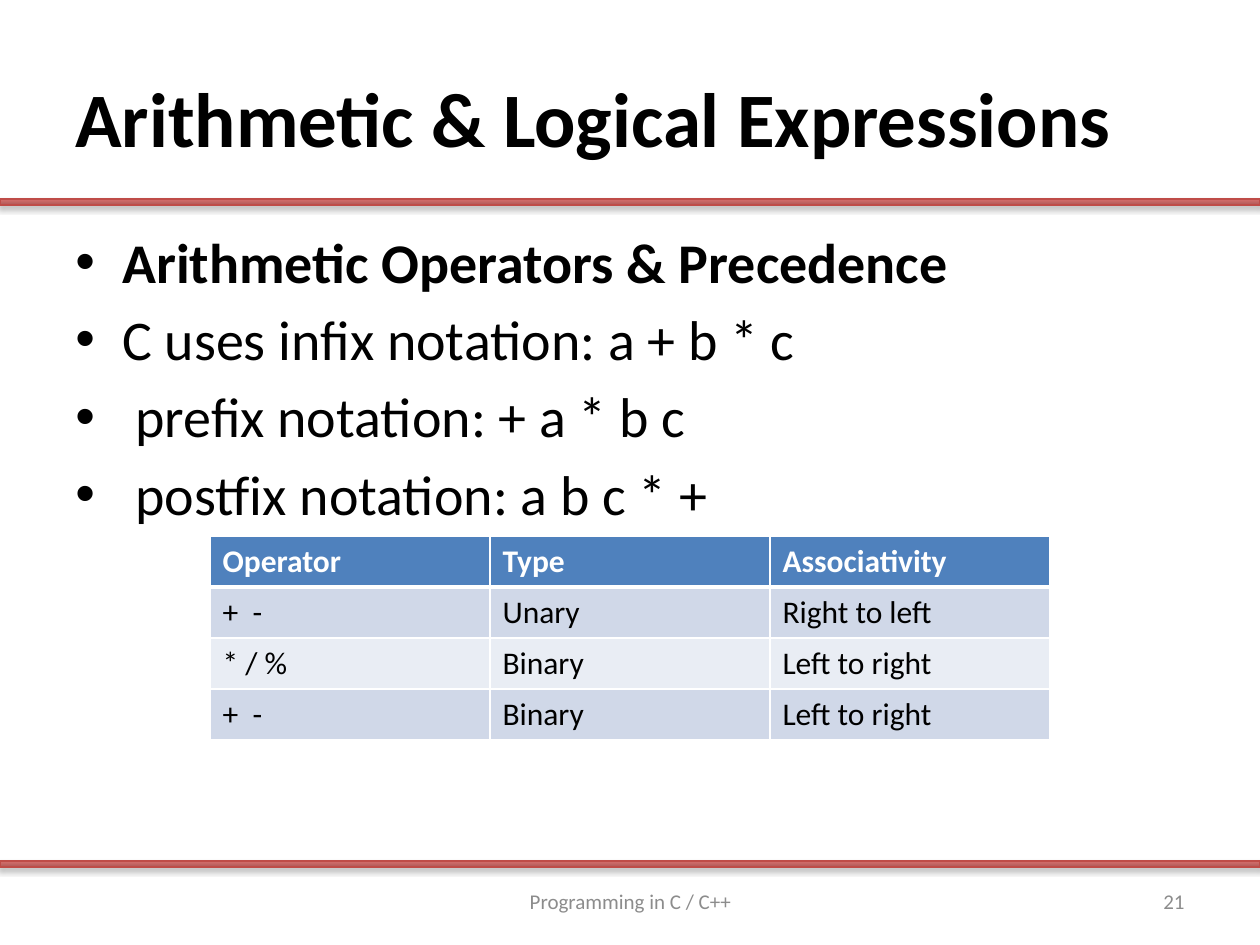
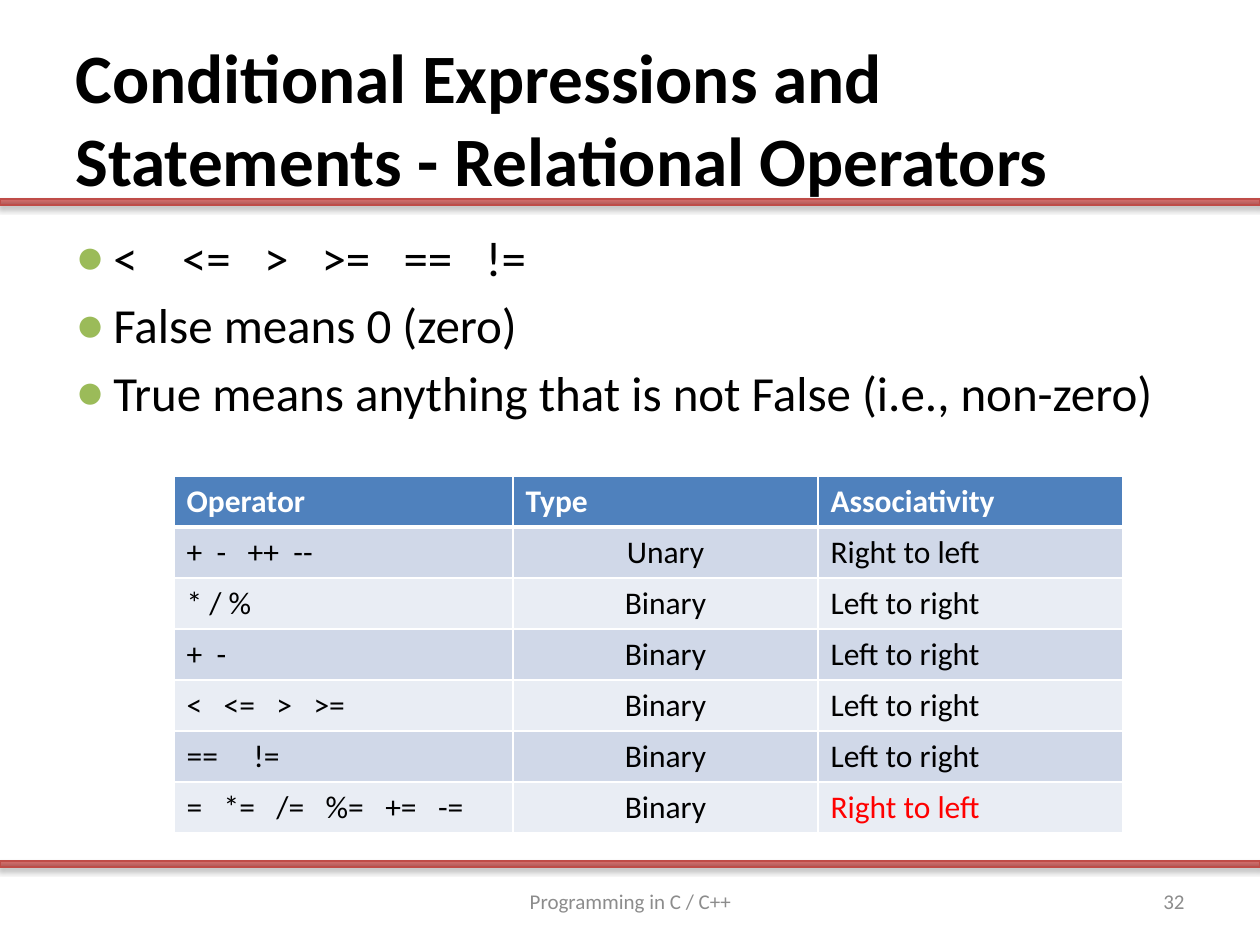
from itertools import zip_longest

from pptx import Presentation
from pptx.dml.color import RGBColor
from pptx.enum.shapes import MSO_SHAPE
from pptx.enum.text import MSO_ANCHOR, PP_ALIGN
from pptx.oxml import parse_xml
from pptx.oxml.ns import nsdecls, qn
from pptx.util import Pt

PX = 914400 / 126
FONT = "Calibri"
BLACK, WHITE, GREY, RED, GREEN = "000000", "FFFFFF", "8C8C8C", "FF0000", "9BBB59"
HEADER_FILL, ROW_FILLS = "4F81BD", ("D0D8E8", "E9EDF4")
BAND_LINE = "BF4C48"
BAND_STOPS = ((0, "9C2F2D"), (80, "CB3E3A"), (100, "CE3B37"))
SPACE_WIDTH = 0.226
GAPS = {
    "+ -": (2,),
    "+ - ++ --": (2, 3, 2),
    "< <= > >=": (3, 3, 3),
    "== !=": (5,),
    "= *= /= %= += -=": (3, 3, 3, 3, 3),
    "< <= > >= == !=": (4, 3, 3, 3, 3),
}
TITLE_BOX = (63, 38, 1134, 158)
BODY_BOX = (63, 221, 1134, 624)
FOOTER_BOX = (431, 876, 399, 50)
NUMBER_BOX = (903, 876, 294, 50)
BAND_BOXES = ((0, 861, 1260, 6), (0, 199, 1260, 6))


def emu(length):
    """Turn px into EMU."""
    return round(length * PX)


def color(value):
    """Turn a hex string into a colour."""
    return RGBColor.from_string(value)


def a_xml(tag, inner="", **attributes):
    """Build one DrawingML element."""
    listed = " ".join(f'{name}="{value}"' for name, value in attributes.items())
    return parse_xml(f'<a:{tag} {nsdecls("a")} {listed}>{inner}</a:{tag}>')


def add_span(para, text, size, ink, bold, tracking=0):
    """Add one run, with extra letter spacing in points if given."""
    span = para.add_run()
    span.text = text
    font = span.font
    font.name, font.size, font.bold = FONT, Pt(size), bold
    font.color.rgb = color(ink)
    if tracking:
        span._r.get_or_add_rPr().set("spc", str(round(tracking * 100)))


def write(para, text, size=18, ink=BLACK, bold=False, align=PP_ALIGN.LEFT):
    """Write text in a paragraph, widening the gaps between operators."""
    para.alignment = align
    gaps = GAPS.get(text)
    if not gaps:
        add_span(para, text, size, ink, bold)
        return
    for word, gap in zip_longest(text.split(" "), gaps):
        add_span(para, word, size, ink, bold)
        if gap:
            add_span(para, " ", size, ink, bold, (gap - 1) * SPACE_WIDTH * size)


def add_frame(page, box, anchor=MSO_ANCHOR.MIDDLE):
    """Add a wrapping text box and return its frame."""
    frame = page.shapes.add_textbox(*map(emu, box)).text_frame
    frame.word_wrap = True
    frame.vertical_anchor = anchor
    return frame


def add_band(page, box):
    """Add a red gradient band with a soft shadow."""
    band = page.shapes.add_shape(MSO_SHAPE.RECTANGLE, *map(emu, box))
    band.fill.background()
    band.line.color.rgb = color(BAND_LINE)
    band.line.width = Pt(0.75)
    band.shadow.inherit = False
    stops = "".join(
        f'<a:gs pos="{place * 1000}"><a:srgbClr val="{tint}">'
        f'<a:alpha val="73000"/></a:srgbClr></a:gs>'
        for place, tint in BAND_STOPS
    )
    gradient = a_xml("gradFill", f'<a:gsLst>{stops}</a:gsLst><a:lin ang="16200000" scaled="0"/>')
    properties = band._element.spPr
    properties.replace(properties.find(qn("a:noFill")), gradient)
    shade = f'<a:srgbClr val="{BLACK}"><a:alpha val="35000"/></a:srgbClr>'
    properties.find(qn("a:effectLst")).append(
        a_xml("outerShdw", shade, blurRad=Pt(3.1), dist=Pt(1.8), dir=5400000, rotWithShape=0)
    )


def add_bullets(page, box, lines, size, hang, mark, mark_ink=BLACK):
    """Add a bulleted list of (text, extra indent, bold) lines."""
    frame = add_frame(page, box, MSO_ANCHOR.TOP)
    for index, (text, extra, bold) in enumerate(lines):
        para = frame.add_paragraph() if index else frame.paragraphs[0]
        write(para, text, size=size, bold=bold)
        para.space_before = Pt(round(size * 0.18, 1))
        properties = para._p.get_or_add_pPr()
        properties.set("marL", str(emu(hang + extra)))
        properties.set("indent", str(-emu(hang + extra)))
        properties.append(a_xml("buClr", f'<a:srgbClr val="{mark_ink}"/>'))
        properties.append(a_xml("buFont", typeface="Arial"))
        properties.append(a_xml("buChar", char=mark))


def set_borders(cell, top, bottom):
    """Draw white cell borders with the given top and bottom widths."""
    properties = cell._tc.get_or_add_tcPr()
    fill = f'<a:solidFill><a:srgbClr val="{WHITE}"/></a:solidFill>'
    widths = (("lnL", 1), ("lnR", 1), ("lnT", top), ("lnB", bottom))
    for index, (side, width) in enumerate(widths):
        properties.insert(index, a_xml(side, fill, w=Pt(width)))


def add_operator_table(page, left, top, widths, rows, type_align=PP_ALIGN.LEFT, red_cell=None):
    """Add a table of operators below its header row."""
    row_height = 51
    rows = [("Operator", "Type", "Associativity"), *rows]
    size = (sum(widths), row_height * len(rows))
    table = page.shapes.add_table(
        len(rows), len(widths), *map(emu, (left, top, *size))
    ).table
    for column, width in zip(table.columns, widths):
        column.width = emu(width)
    for r, texts in enumerate(rows):
        table.rows[r].height = emu(row_height)
        for c, text in enumerate(texts):
            cell = table.cell(r, c)
            para = cell.text_frame.paragraphs[0]
            cell.fill.solid()
            if r == 0:
                cell.fill.fore_color.rgb = color(HEADER_FILL)
                write(para, text, ink=WHITE, bold=True)
            else:
                cell.fill.fore_color.rgb = color(ROW_FILLS[(r - 1) % 2])
                write(
                    para,
                    text,
                    ink=RED if (r, c) == red_cell else BLACK,
                    align=type_align if c == 1 else PP_ALIGN.LEFT,
                )
            set_borders(cell, top=3 if r == 1 else 1, bottom=3 if r == 0 else 1)


def add_page(deck, title, title_size, number):
    """Add a page with its bands, title and footer."""
    page = deck.slides.add_slide(deck.slide_layouts[6])
    for box in BAND_BOXES:
        add_band(page, box)
    write(add_frame(page, TITLE_BOX).paragraphs[0], title, size=title_size, bold=True)
    footers = (
        (FOOTER_BOX, "Programming in C / C++", PP_ALIGN.CENTER),
        (NUMBER_BOX, str(number), PP_ALIGN.RIGHT),
    )
    for box, text, align in footers:
        write(add_frame(page, box).paragraphs[0], text, size=12, ink=GREY, align=align)
    return page


def arithmetic_page(deck):
    """Build the page on arithmetic operators."""
    page = add_page(deck, "Arithmetic & Logical Expressions", 44, 21)
    lines = (
        ("Arithmetic Operators & Precedence", 0, True),
        ("C uses infix notation: a + b * c", 0, False),
        ("prefix notation: + a * b c", 13, False),
        ("postfix notation: a b c * +", 13, False),
    )
    add_bullets(page, BODY_BOX, lines, size=32, hang=47, mark="•")
    rows = (
        ("+ -", "Unary", "Right to left"),
        ("* / %", "Binary", "Left to right"),
        ("+ -", "Binary", "Left to right"),
    )
    add_operator_table(page, 210, 536, (280, 280, 280), rows)


def relational_page(deck):
    """Build the page on relational operators."""
    title = "Conditional Expressions and Statements - Relational Operators"
    page = add_page(deck, title, 39.6, 32)
    lines = (
        ("< <= > >= == !=", 0, False),
        ("False means 0 (zero)", 0, False),
        ("True means anything that is not False (i.e., non-zero)", 0, False),
    )
    add_bullets(page, BODY_BOX, lines, size=28, hang=38, mark="●", mark_ink=GREEN)
    left_to_right = ("* / %", "+ -", "< <= > >=", "== !=")
    rows = (
        ("+ - ++ --", "Unary", "Right to left"),
        *((operators, "Binary", "Left to right") for operators in left_to_right),
        ("= *= /= %= += -=", "Binary", "Right to left"),
    )
    add_operator_table(
        page, 174, 476, (339, 305, 305), rows, type_align=PP_ALIGN.CENTER, red_cell=(6, 2)
    )


def main():
    """Build and save the deck."""
    deck = Presentation()
    deck.slide_width, deck.slide_height = emu(1260), emu(945)
    arithmetic_page(deck)
    relational_page(deck)
    deck.save("out.pptx")


if __name__ == "__main__":
    main()
